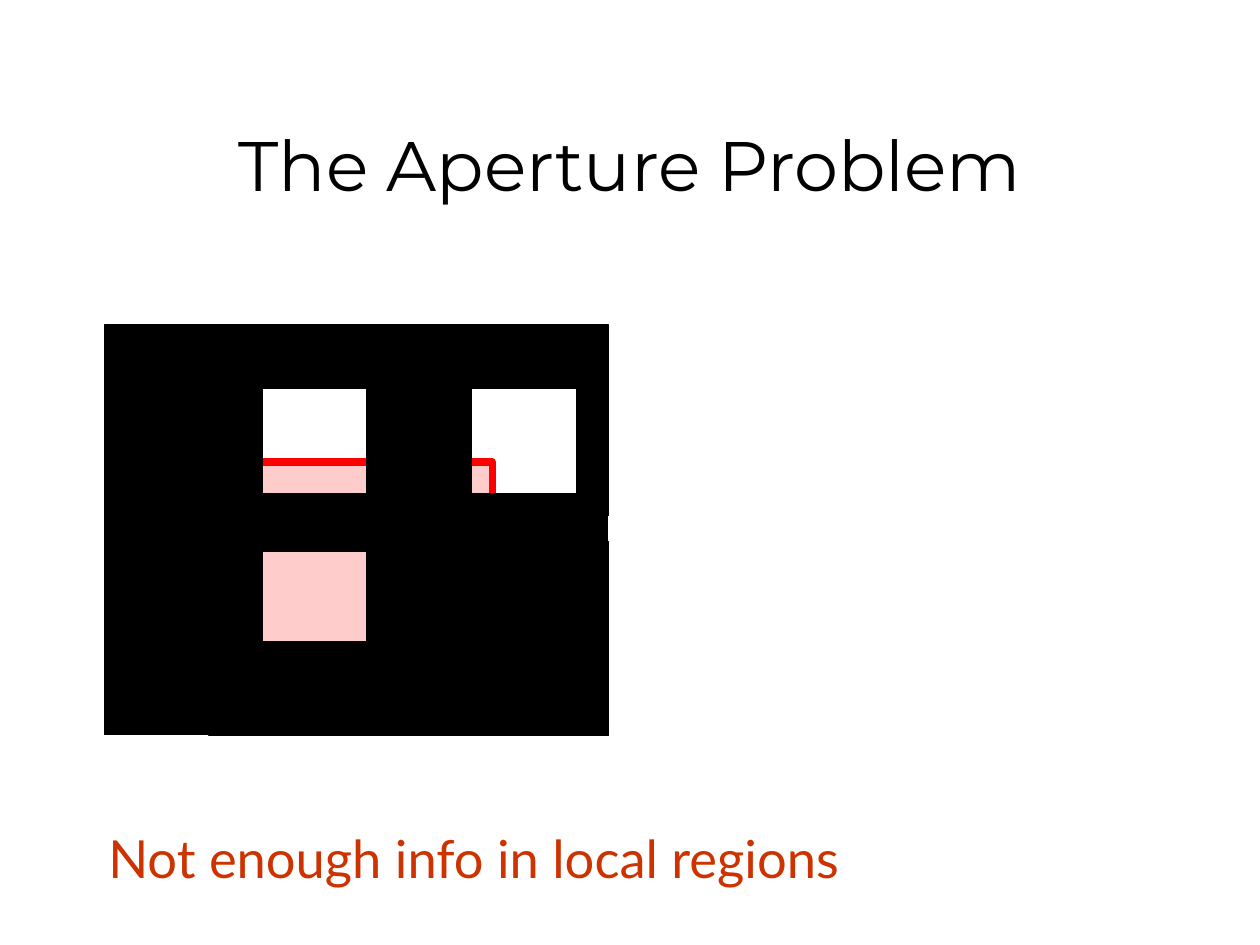
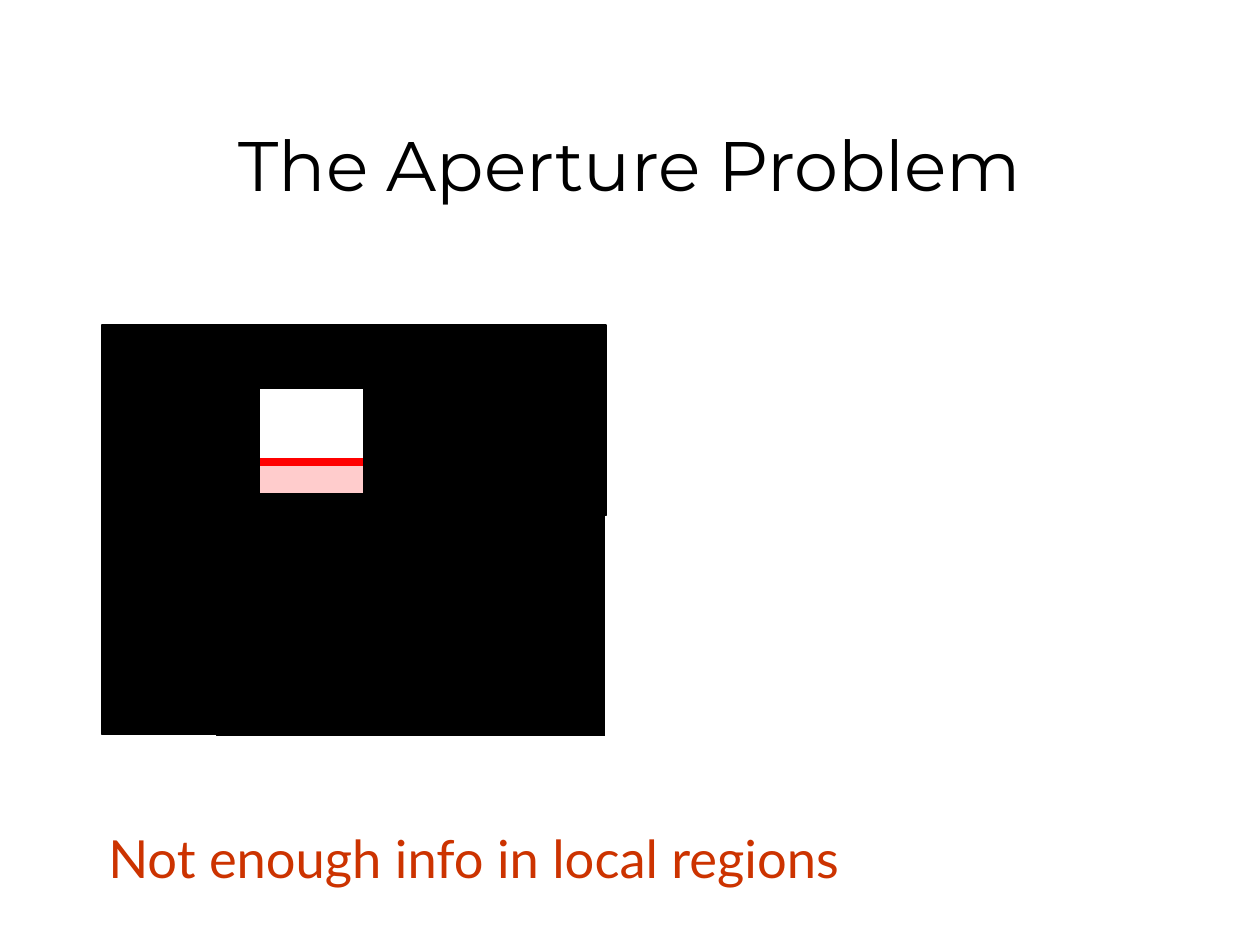
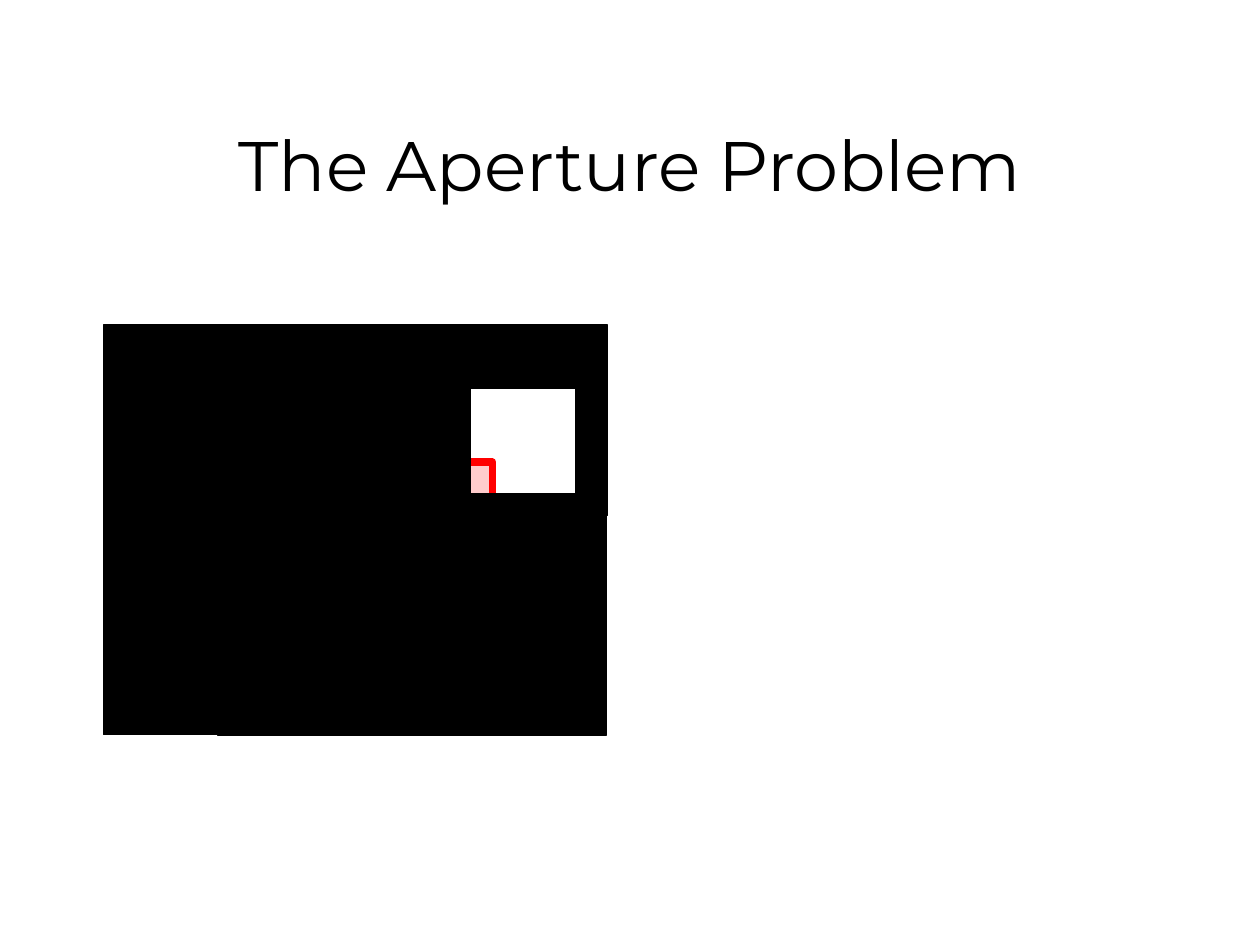
import dataclasses

import pptx
import pptx.dml.color
import pptx.enum.shapes
import pptx.enum.text
import pptx.util

Inches = pptx.util.Inches
ALIGN = pptx.enum.text.PP_ALIGN


@dataclasses.dataclass(frozen=True)
class Theme:
    """Colours, fonts and type sizes of the deck."""

    ink: str = "000000"
    caption: str = "CC3300"
    object_fill: str = "FFCCCC"
    object_edge: str = "FF0000"
    title_font: str = "Montserrat"
    caption_font: str = "Lato"
    title_size: float = 40
    caption_size: float = 30
    object_line: float = 4.5
    mask_line: float = 0.75


THEME = Theme()
TITLE = "The Aperture Problem"
CAPTION = "Not enough info in local regions"

TITLE_BOX = (0.75, 0.67, 8.5, 1.25)
CAPTION_BOX = (0.43, 6.51, 6.33, 0.99)
OBJECT_BOX = (1.58, 3.67, 2.33, 1.92)
MASK_TOP = 2.58

FRAME_BARS = [
    (0, 0, 1.25, 3.25),
    (2.08, 0, 0.83, 3.25),
    (0.83, 0, 3.17, 0.5),
    (3.75, 0.34, 0.25, 1.17),
]
LOWER_HALF = (0.91, 1.34, 3.08, 1.92)
THREE_APERTURES = [
    (0.91, 1.34, 3.08, 0.46),
    (0.83, 2.51, 3.17, 0.75),
    (2.58, 1.72, 1.42, 1.17),
]
EDGE_APERTURE = [LOWER_HALF, (2.75, 0.33, 1.08, 1.25)]
CORNER_APERTURE = [LOWER_HALF, (1.16, 0.42, 1.08, 1.08)]

SLIDES = [
    (0.83, THREE_APERTURES, CAPTION),
    (0.81, EDGE_APERTURE, CAPTION),
    (0.82, CORNER_APERTURE, None),
]


def rgb(value):
    """Return the colour object of a hexadecimal value."""
    return pptx.dml.color.RGBColor.from_string(value)


def place(shape, box):
    """Move and size a shape to a box in inches."""
    shape.left, shape.top, shape.width, shape.height = map(Inches, box)


def write_text(shape, text, *, font, size, color, align, anchor, space_before=0):
    """Fill a shape with one formatted paragraph."""
    frame = shape.text_frame
    frame.word_wrap = True
    frame.vertical_anchor = anchor
    paragraph = frame.paragraphs[0]
    paragraph.alignment = align
    paragraph.space_before = pptx.util.Pt(space_before)
    run = paragraph.add_run()
    run.text = text
    run.font.name = font
    run.font.size = pptx.util.Pt(size)
    run.font.color.rgb = rgb(color)


def add_rectangle(shapes, box, fill, line, line_width):
    """Add a flat rectangle to a slide or a group."""
    rectangle = shapes.add_shape(
        pptx.enum.shapes.MSO_SHAPE.RECTANGLE, *map(Inches, box)
    )
    rectangle.shadow.inherit = False
    rectangle.fill.solid()
    rectangle.fill.fore_color.rgb = rgb(fill)
    rectangle.line.color.rgb = rgb(line)
    rectangle.line.width = pptx.util.Pt(line_width)


def add_title(slide, box):
    """Place and fill the title placeholder."""
    title = slide.shapes.title
    place(title, box)
    write_text(title, TITLE, font=THEME.title_font, size=THEME.title_size,
               color=THEME.ink, align=ALIGN.CENTER,
               anchor=pptx.enum.text.MSO_ANCHOR.MIDDLE)


def add_caption(slide, box, text):
    """Add the remark below the figure."""
    caption = slide.shapes.add_textbox(*map(Inches, box))
    write_text(caption, text, font=THEME.caption_font, size=THEME.caption_size,
               color=THEME.caption, align=ALIGN.RIGHT,
               anchor=pptx.enum.text.MSO_ANCHOR.TOP, space_before=7.5)


def add_mask(slide, left, top, bars):
    """Group the black bars that leave only the apertures open."""
    mask = slide.shapes.add_group_shape()
    for x, y, width, height in bars:
        add_rectangle(mask.shapes, (left + x, top + y, width, height),
                      THEME.ink, THEME.ink, THEME.mask_line)


def add_aperture_slide(presentation, mask_left, aperture_bars, caption):
    """Build a slide with the hidden object behind its mask."""
    slide = presentation.slides.add_slide(presentation.slide_layouts[5])
    add_title(slide, TITLE_BOX)
    add_rectangle(slide.shapes, OBJECT_BOX, THEME.object_fill,
                  THEME.object_edge, THEME.object_line)
    add_mask(slide, mask_left, MASK_TOP, FRAME_BARS + aperture_bars)
    if caption:
        add_caption(slide, CAPTION_BOX, caption)


def main():
    """Build and save the presentation."""
    presentation = pptx.Presentation()
    presentation.slide_width = Inches(10)
    presentation.slide_height = Inches(7.5)
    for mask_left, aperture_bars, caption in SLIDES:
        add_aperture_slide(presentation, mask_left, aperture_bars, caption)
    presentation.save("out.pptx")


if __name__ == "__main__":
    main()
